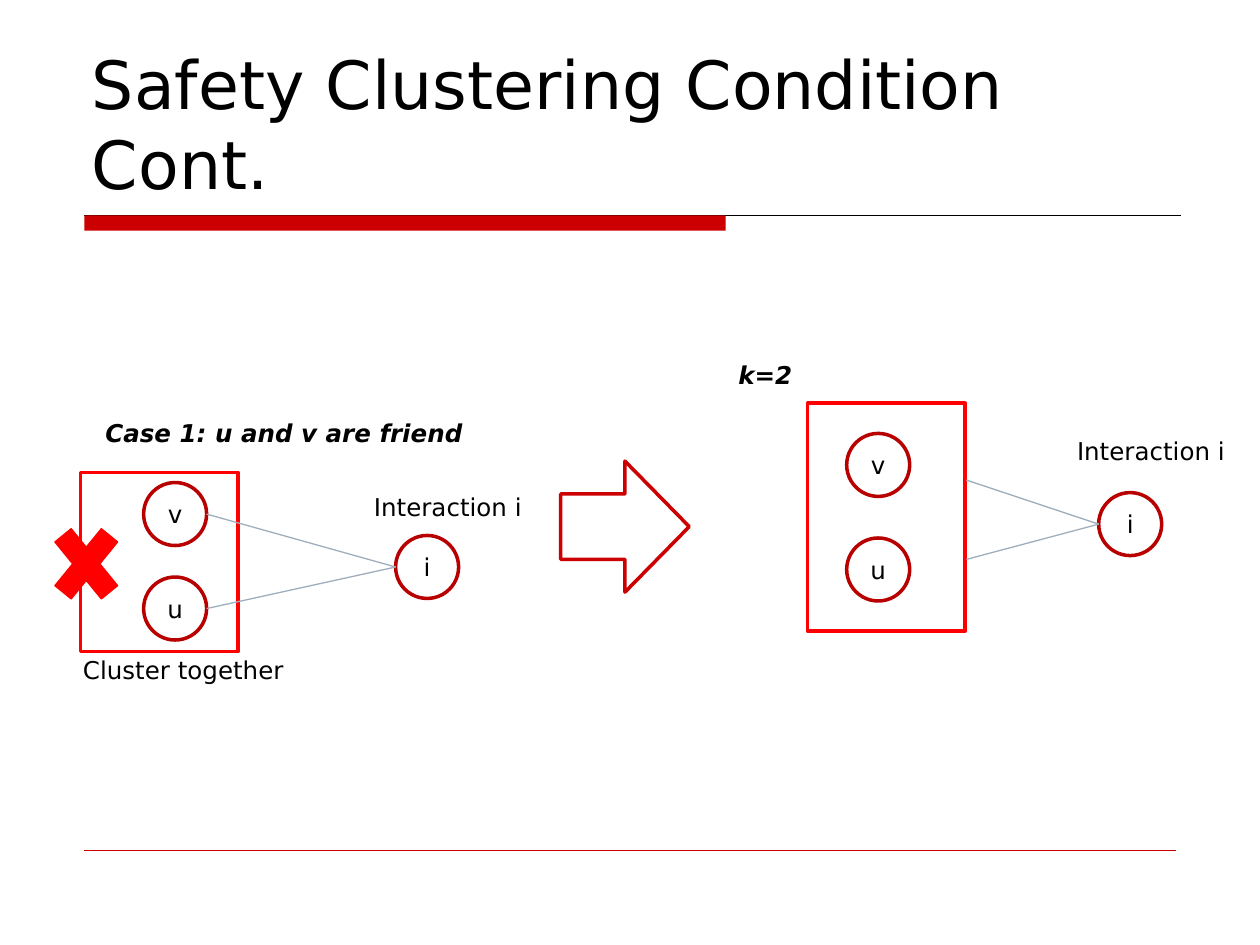
from lxml import etree
from pptx import Presentation
from pptx.dml.color import RGBColor
from pptx.enum import shapes, text
from pptx.oxml.ns import qn
from pptx.util import Inches, Pt

BLACK = RGBColor(0x00, 0x00, 0x00)
WHITE = RGBColor(0xFF, 0xFF, 0xFF)
RULE_RED = RGBColor(0xCC, 0x00, 0x00)
NODE_RED = RGBColor(0xB9, 0x00, 0x00)
BRIGHT_RED = RGBColor(0xFF, 0x00, 0x00)
EDGE_GREY = RGBColor(0x9F, 0xAE, 0xBD)
NODE_SIZE = 0.5
SHAPE = shapes.MSO_SHAPE


def write(holder, wording, size=14, bold=False, italic=False, wrap=True,
          align=text.PP_ALIGN.CENTER, anchor=text.MSO_ANCHOR.TOP):
    frame = holder.text_frame
    frame.text = wording
    frame.word_wrap = wrap
    frame.auto_size = text.MSO_AUTO_SIZE.NONE
    frame.vertical_anchor = anchor
    paragraph = frame.paragraphs[0]
    paragraph.alignment = align
    font = paragraph.runs[0].font
    font.name = "DejaVu Sans"
    font.size = Pt(size)
    font.bold = bold
    font.italic = italic
    font.color.rgb = BLACK


def draw(kind, box, line_color, fill=WHITE, width=2):
    if kind == "line":
        part = slide.shapes.add_connector(
            shapes.MSO_CONNECTOR.STRAIGHT, *map(Inches, box))
        etree.SubElement(part._element.spPr, qn("a:effectLst"))
    else:
        part = slide.shapes.add_shape(kind, *map(Inches, box))
        part.shadow.inherit = False
        part.fill.solid()
        part.fill.fore_color.rgb = fill
    part.line.color.rgb = line_color
    part.line.width = Pt(width)
    return part


deck = Presentation()
deck.slide_width, deck.slide_height = Inches(10), Inches(7.5)
slide = deck.slides.add_slide(deck.slide_layouts[5])

title = slide.shapes.title
title.left, title.top = Inches(0.63), Inches(0.33)
title.width, title.height = Inches(8.75), Inches(1.33)
write(title, "Safety Clustering Condition Cont.", size=38,
      align=text.PP_ALIGN.LEFT, anchor=text.MSO_ANCHOR.BOTTOM)

draw("line", (0.67, 1.71, 9.37, 1.71), BLACK, width=0.75)
title_bar = draw(SHAPE.RECTANGLE, (0.67, 1.71, 5.09, 0.12), RULE_RED, fill=RULE_RED)
title_bar.line.fill.background()
draw("line", (0.67, 6.75, 9.33, 6.75), RULE_RED, width=0.25)

clusters = [(0.64, 3.75, 1.25, 1.42), (6.41, 3.2, 1.25, 1.81)]
for cluster in clusters:
    draw(SHAPE.RECTANGLE, cluster, BRIGHT_RED)

nodes = [
    ("v", 1.14, 3.83), ("u", 1.14, 4.58), ("i", 3.14, 4.25),
    ("v", 6.72, 3.44), ("u", 6.72, 4.27), ("i", 8.72, 3.91),
]
for name, left, top in nodes:
    node = draw(SHAPE.OVAL, (left, top, NODE_SIZE, NODE_SIZE), NODE_RED)
    write(node, name, wrap=False, anchor=text.MSO_ANCHOR.MIDDLE)

edges = [
    (1.64, 4.08, 3.14, 4.5), (1.64, 4.83, 3.14, 4.5),
    (7.67, 3.81, 8.72, 4.16), (7.67, 4.44, 8.72, 4.16),
]
for edge in edges:
    draw("line", edge, EDGE_GREY, width=0.75)

draw(SHAPE.MATH_MULTIPLY, (0.33, 4.04, 0.71, 0.87), BRIGHT_RED,
     fill=BRIGHT_RED, width=0.75)
draw(SHAPE.RIGHT_ARROW, (4.45, 3.66, 1.02, 1.04), RULE_RED)

labels = [
    ("Case 1: u and v are friend", 0.64, 3.27, 3.23, True),
    ("k=2", 5.66, 2.81, 0.83, True),
    ("Interaction i", 2.69, 3.86, 1.73, False),
    ("Interaction i", 8.27, 3.41, 1.73, False),
    ("Cluster together", 0.43, 5.15, 2.05, False),
]
for wording, left, top, width, heading in labels:
    label = slide.shapes.add_textbox(*map(Inches, (left, top, width, 0.34)))
    write(label, wording, bold=heading, italic=heading)

deck.save("out.pptx")
